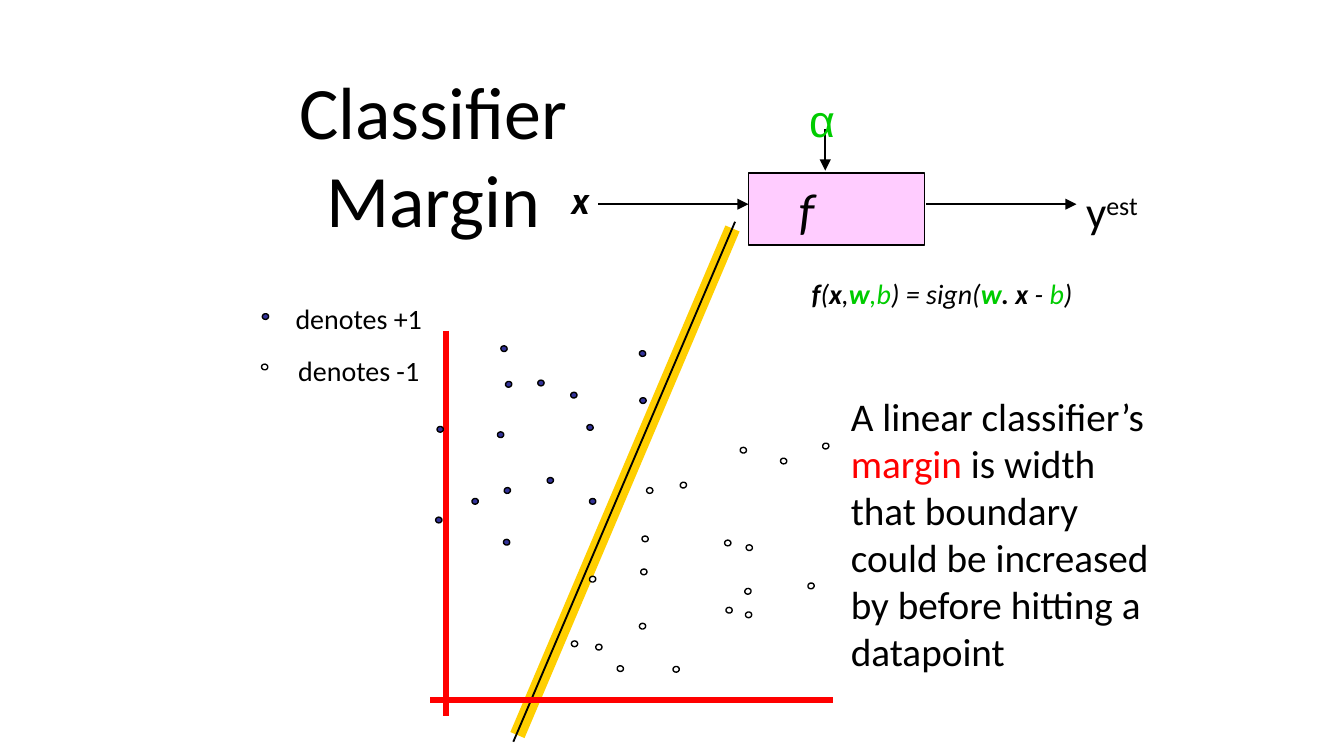
"""Build the slide that explains the margin of a linear classifier."""
from lxml import etree
from pptx import Presentation
from pptx.dml.color import RGBColor
from pptx.enum import shapes, text
from pptx.oxml import ns
from pptx.util import Pt

BLACK = RGBColor(0x00, 0x00, 0x00)
WHITE = RGBColor(0xFF, 0xFF, 0xFF)
RED = RGBColor(0xFF, 0x00, 0x00)
GREEN = RGBColor(0x00, 0xCC, 0x00)
PINK = RGBColor(0xFF, 0xCC, 0xFF)
GOLD = RGBColor(0xFF, 0xCF, 0x01)
INDIGO = RGBColor(0x33, 0x33, 0x99)
LEFT, CENTER = text.PP_ALIGN.LEFT, text.PP_ALIGN.CENTER

POINTS = {
    (INDIGO, 0): [(235.1, 278.6), (344.5, 214.6), (289.8, 205.2),
                  (317.5, 268.6), (268.2, 232.9)],
    (INDIGO, 341): [(272.5, 205.9), (271.8, 262.8)],
    (INDIGO, 98): [(316.1, 229), (271.4, 290.5), (344.2, 189.4), (270, 186.8)],
    (INDIGO, 80): [(294.8, 257.4), (254.5, 268.6), (307.4, 211.7), (235.8, 230)],
    (WHITE, 0): [(307.8, 344.9), (348.1, 262.8), (389.9, 290.9)],
    (WHITE, 341): [(317.5, 310.3), (442.4, 239), (400.7, 316.8),
                   (366.1, 259.9), (434.5, 313.9)],
    (WHITE, 98): [(332.3, 358.2), (401.4, 293.4), (345.6, 288.7),
                  (419.8, 247), (398.2, 241.2), (390.6, 326.9)],
    (WHITE, 80): [(362.2, 358.6), (344.2, 335.5), (344.9, 306.4),
                  (320.8, 346.7), (401, 329.4)],
}


class Diagram:
    """Draw styled elements on one slide."""

    def __init__(self, slide, font="Calibri"):
        self.slide = slide
        self.font = font

    def style(self, run, size, color=BLACK, bold=False, italic=False, font=None, raised=False):
        """Format one run."""
        run.font.name = font or self.font
        run.font.size = Pt(size)
        run.font.color.rgb = color
        run.font.bold = bold
        run.font.italic = italic
        if raised:
            run.font._element.set("baseline", "30000")

    def title(self, words, left, top, width, height, size):
        """Place and format the title."""
        heading = self.slide.shapes.title
        heading.left, heading.top = Pt(left), Pt(top)
        heading.width, heading.height = Pt(width), Pt(height)
        frame = heading.text_frame
        frame.text = words
        frame.auto_size = text.MSO_AUTO_SIZE.NONE
        frame.vertical_anchor = text.MSO_ANCHOR.MIDDLE
        frame.paragraphs[0].alignment = CENTER
        self.style(frame.paragraphs[0].runs[0], size)

    def set_text(self, frame, size, paragraphs, align=CENTER):
        """Fill a frame with paragraphs of (words, style) runs."""
        frame.word_wrap = True
        frame.margin_left = frame.margin_right = Pt(5.1)
        frame.margin_top = frame.margin_bottom = Pt(2.6)
        for index, runs in enumerate(paragraphs):
            paragraph = frame.add_paragraph() if index else frame.paragraphs[0]
            paragraph.alignment = align
            if index:
                paragraph.space_before = Pt(9.4)
            for words, look in runs:
                run = paragraph.add_run()
                run.text = words
                self.style(run, size, **look)

    def label(self, left, top, width, height, size, *paragraphs, align=CENTER):
        """Add a text box."""
        box = self.slide.shapes.add_textbox(Pt(left), Pt(top), Pt(width), Pt(height))
        self.set_text(box.text_frame, size, paragraphs, align)
        box.text_frame.auto_size = text.MSO_AUTO_SIZE.SHAPE_TO_FIT_TEXT

    def shape(self, kind, left, top, width, height, fill, weight):
        """Add an outlined preset shape."""
        item = self.slide.shapes.add_shape(kind, Pt(left), Pt(top), Pt(width), Pt(height))
        item.shadow.inherit = False
        item.fill.solid()
        item.fill.fore_color.rgb = fill
        item.line.color.rgb = BLACK
        item.line.width = Pt(weight)
        return item

    def dot(self, x, y, fill, rotation):
        """Add a data point around its centre."""
        width, height = (3.1, 3.4) if rotation in (80, 98) else (3.4, 3.1)
        point = self.shape(shapes.MSO_SHAPE.OVAL, x - width / 2, y - height / 2,
                           width, height, fill, 0.75)
        point.rotation = rotation

    def line(self, start, end, color=BLACK, weight=1, arrow=False, parent=None):
        """Add a straight line or arrow."""
        items = (parent or self.slide).shapes
        link = items.add_connector(shapes.MSO_CONNECTOR.STRAIGHT,
                                   *map(Pt, start), *map(Pt, end))
        link.line.color.rgb = color
        link.line.width = Pt(weight)
        if arrow:
            outline = link._element.spPr.find(ns.qn("a:ln"))
            etree.SubElement(outline, ns.qn("a:tailEnd"), type="triangle")
        etree.SubElement(link._element.spPr, ns.qn("a:effectLst"))


def main():
    """Build and save the slide."""
    deck = Presentation()
    deck.slide_width, deck.slide_height = Pt(720), Pt(405)
    diagram = Diagram(deck.slides.add_slide(deck.slide_layouts[5]))

    diagram.title("Classifier Margin", 95, 59.8, 274.3, 45.4, 39.6)
    boundary = diagram.slide.shapes.add_group_shape()
    diagram.line((277.2, 393.8), (392.4, 122.4), GOLD, 8.25, parent=boundary)
    diagram.line((275, 397.4), (393.8, 118.8), parent=boundary)

    classifier = diagram.shape(shapes.MSO_SHAPE.RECTANGLE, 401, 92.9, 94.3, 38.2, PINK, 1)
    diagram.set_text(classifier.text_frame, 27, [[("f", {"italic": True})]], LEFT)
    classifier.text_frame.margin_left = Pt(27)
    classifier.text_frame.vertical_anchor = text.MSO_ANCHOR.MIDDLE

    diagram.line((320.4, 109.4), (401, 109.4), arrow=True)
    diagram.line((442.1, 69.1), (442.1, 91.4), arrow=True)
    diagram.line((496.1, 109.4), (576.7, 109.4), arrow=True)
    diagram.label(293, 91.4, 36, 31, 21, [("x", {"bold": True, "italic": True})])
    diagram.label(428.4, 46.8, 22.3, 34.6, 24, [("α", {"color": GREEN, "font": "Arial"})])
    diagram.label(576.7, 95.8, 49.7, 34.6, 24, [("y", {}), ("est", {"raised": True})], align=LEFT)

    diagram.label(136.1, 159.1, 112.3, 51.1, 15, [("denotes +1", {})], [("denotes -1", {})])
    diagram.dot(142.2, 169.6, INDIGO, 80)
    diagram.dot(141.8, 196.6, WHITE, 98)

    diagram.line((239, 177.1), (239, 383.8), RED, 3)
    diagram.line((230.4, 375.1), (446.4, 375.1), RED, 3)
    for (fill, rotation), centers in POINTS.items():
        for x, y in centers:
            diagram.dot(x, y, fill, rotation)

    plain = {"italic": True}
    strong = {"italic": True, "bold": True}
    weight = {**strong, "color": GREEN}
    bias = {**plain, "color": GREEN}
    diagram.label(410.4, 145.4, 188.6, 23.8, 15, [
        ("f", strong), ("(", plain), ("x", strong), (",", plain), ("w", weight),
        (",b", bias), (") = sign(", plain), ("w", weight), (". x ", strong),
        ("- ", plain), ("b", bias), (")", plain)])
    diagram.label(450.7, 207.4, 175.7, 158.4, 21, [
        ("A linear classifier’s ", {}), ("margin", {"color": RED}),
        (" is width that boundary could be increased by before hitting a datapoint", {})],
        align=LEFT)

    deck.save("out.pptx")


if __name__ == "__main__":
    main()
